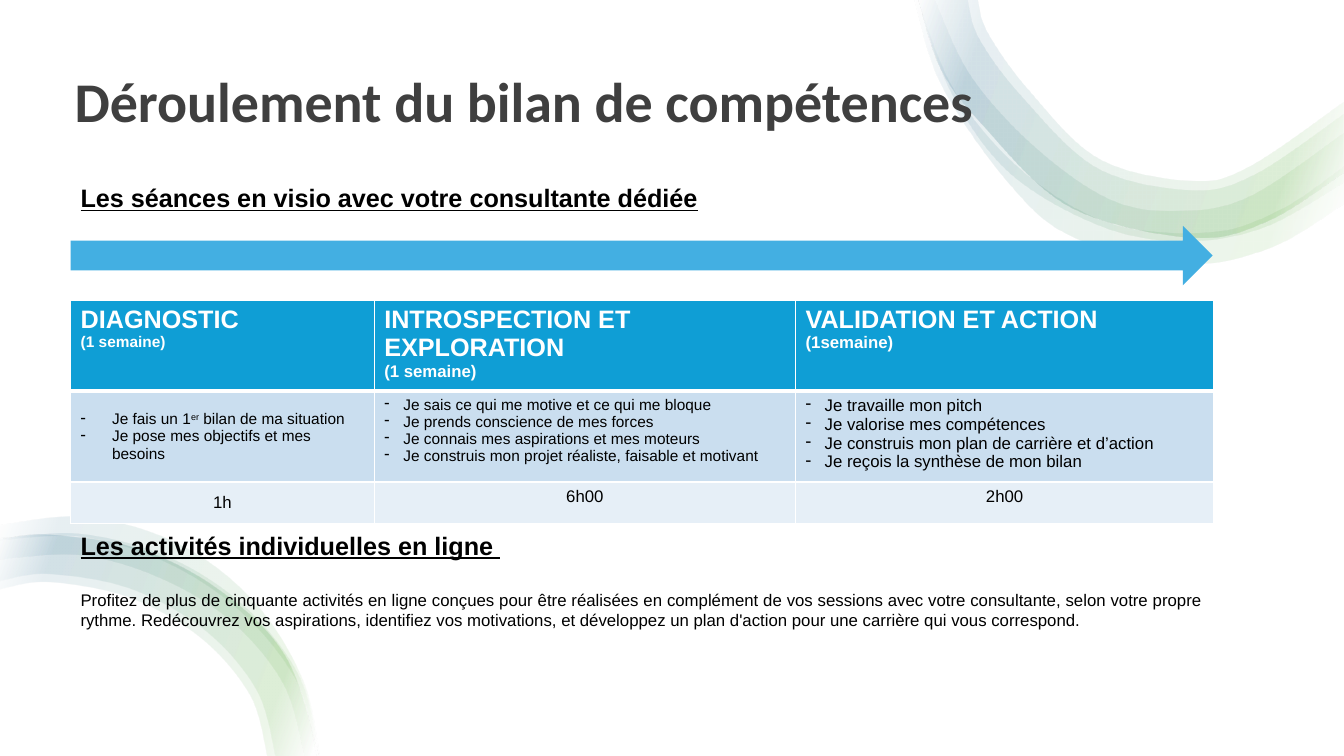
from lxml import etree
from pptx import Presentation
from pptx import util as u
from pptx.dml.color import RGBColor
from pptx.enum import shapes, text
from pptx.oxml import parse_xml
from pptx.oxml.ns import nsdecls, qn

BLACK = RGBColor(0x00, 0x00, 0x00)
WHITE = RGBColor(0xFF, 0xFF, 0xFF)
TITLE_GREY = RGBColor(0x3F, 0x3F, 0x3F)
ARROW_BLUE = RGBColor(0x43, 0xAF, 0xE2)
HEADER_BLUE = RGBColor(0x0F, 0x9E, 0xD5)
ROW_BLUE = RGBColor(0xCA, 0xDE, 0xEF)
ROW_PALE = RGBColor(0xE6, 0xEF, 0xF7)
RIBBON_GREEN = RGBColor(0x4E, 0xA7, 0x2E)
RIBBON_BLUE = RGBColor(0x15, 0x60, 0x82)

RIBBON_STOPS = [(0, WHITE), (2, WHITE), (16, RIBBON_GREEN), (85, RIBBON_BLUE), (100, WHITE)]
UNIT = 2.54  # ribbon points are in inches

TOP_EDGE = [(13.33, 1.71), (12.57, 2.19), (11.81, 2.35), (10.6, 2.04),
            (9.73, 1.22), (9.33, 0.68), (9.11, 0)]
BOTTOM_EDGE = [(3.16, 7.5), (2.84, 6.53), (2.22, 5.89), (1.41, 5.46), (0.49, 5.31), (0, 5.36)]
# Each ribbon is a pair of edges, the second running back along the first.
RIBBONS = [
    ([(9.1, 0), (9.48, 0.92), (10.15, 1.7), (11.01, 2.21), (12.01, 2.3), (12.71, 2.07),
      (13.33, 1.65)],
     [(13.33, 2.02), (12.61, 2.45), (11.76, 2.61), (10.65, 2.35), (10.01, 1.82),
      (9.34, 0.85), (9.07, 0)]),
    ([(9.27, 0), (9.64, 0.77), (10.29, 1.48), (11.04, 1.99), (11.74, 2.09), (12.41, 1.94),
      (13.33, 1.32)],
     [(13.33, 1.81), (12.55, 2.25), (11.77, 2.39), (10.94, 2.25), (10.02, 1.72),
      (9.43, 0.91), (9.11, 0)]),
    ([(9.6, 0), (9.71, 0.38), (10.13, 0.95), (10.88, 1.66), (11.81, 1.88),
      (12.44, 1.73), (13.33, 1.13)], TOP_EDGE),
    ([(9.7, 0), (9.8, 0.33), (10.21, 0.9), (10.9, 1.57), (11.81, 1.79), (12.39, 1.65),
      (13.33, 1.01)], TOP_EDGE),
    (BOTTOM_EDGE, [(0, 5.85), (0.49, 5.78), (1.28, 5.93), (1.99, 6.33), (2.48, 6.9), (2.65, 7.5)]),
    (BOTTOM_EDGE, [(0, 5.77), (0.49, 5.7), (1.31, 5.85), (2.05, 6.27), (2.55, 6.86), (2.73, 7.5)]),
    ([(3.16, 7.5), (2.97, 6.72), (2.44, 6.03), (1.7, 5.54), (0.83, 5.3), (0, 5.34)],
     [(0, 5.55), (0.81, 5.51), (1.6, 5.74), (2.3, 6.17), (2.81, 6.79), (3.02, 7.5)]),
    ([(3.17, 7.5), (3, 6.74), (2.52, 5.97), (1.78, 5.4), (0.86, 5.13), (0, 5.21)],
     [(0, 5.36), (0.83, 5.33), (1.67, 5.59), (2.4, 6.08), (2.94, 6.76), (3.14, 7.5)]),
]

# Title, duration, duration size, steps, step size, step indent in cm, hours, anchor
PHASES = [
    ("DIAGNOSTIC", "(1 semaine)", 11,
     ["Je fais un 1^er^ bilan de ma situation", "Je pose mes objectifs et mes besoins"],
     11, 0.79, "1h", text.MSO_ANCHOR.MIDDLE),
    ("INTROSPECTION ET EXPLORATION", "(1 semaine)", 12,
     ["Je sais ce qui me motive et ce qui me bloque", "Je prends conscience de mes forces",
      "Je connais mes aspirations et mes moteurs",
      "Je construis mon projet réaliste, faisable et motivant"],
     11, 0.48, "6h00", text.MSO_ANCHOR.TOP),
    ("VALIDATION ET ACTION", "(1semaine)", 12,
     ["Je travaille mon pitch", "Je valorise mes compétences",
      "Je construis mon plan de carrière et d’action", "Je reçois la synthèse de mon bilan"],
     12, 0.48, "2h00", text.MSO_ANCHOR.TOP),
]
COLUMN_WIDTHS = [7.65, 10.62, 10.54]
ROW_HEIGHTS = [2.26, 2.26, 1.04]


def curve_controls(edge):
    """Return, per segment, the two control points and end of a smooth curve through the edge."""
    padded = [edge[0], *edge, edge[-1]]
    return [((b[0] + (c[0] - a[0]) / 6, b[1] + (c[1] - a[1]) / 6),
             (c[0] - (d[0] - b[0]) / 6, c[1] - (d[1] - b[1]) / 6), c)
            for a, b, c, d in zip(padded, padded[1:], padded[2:], padded[3:])]


def add_ribbon(slide, edges):
    near, far = [[(u.Cm(x * UNIT), u.Cm(y * UNIT)) for x, y in edge] for edge in edges]
    builder = slide.shapes.build_freeform(*near[0])
    builder.add_line_segments(near[1:] + far)
    ribbon = builder.convert_to_shape()
    ribbon.shadow.inherit = False
    ribbon.line.fill.background()

    # The straight join between the two edges stays a line.
    segments = curve_controls(near) + [None] + curve_controls(far)
    for line, controls in zip(list(ribbon._element.iter(qn("a:lnTo"))), segments):
        if controls:
            curve = etree.Element(qn("a:cubicBezTo"))
            for x, y in controls:
                etree.SubElement(curve, qn("a:pt"), x=str(round(x - ribbon.left)),
                                 y=str(round(y - ribbon.top)))
            line.getparent().replace(line, curve)

    stops = "".join(
        f'<a:gs pos="{place * 1000}"><a:srgbClr val="{color}"><a:alpha val="10000"/></a:srgbClr></a:gs>'
        for place, color in RIBBON_STOPS)
    gradient = parse_xml(f'<a:gradFill {nsdecls("a")}><a:gsLst>{stops}</a:gsLst>'
                         '<a:lin ang="12000000" scaled="0"/></a:gradFill>')
    ribbon._element.spPr.find(qn("a:custGeom")).addnext(gradient)


def style(paragraph, size, color=BLACK, bold=False, underline=False, name="Arial"):
    font = paragraph.font
    font.name, font.size, font.bold, font.underline = name, u.Pt(size), bold, underline
    font.color.rgb = color


def add_text_box(slide, left, top, width, height, wording, size, **look):
    frame = slide.shapes.add_textbox(u.Cm(left), u.Cm(top), u.Cm(width), u.Cm(height)).text_frame
    frame.word_wrap = True
    paragraph = frame.paragraphs[0]
    paragraph.text = wording
    style(paragraph, size, **look)
    return frame


def add_arrow(slide):
    arrow = slide.shapes.add_shape(shapes.MSO_SHAPE.RIGHT_ARROW,
                                   u.Cm(1.78), u.Cm(5.69), u.Cm(28.78), u.Cm(1.5))
    arrow.shadow.inherit = False
    arrow.fill.solid()
    arrow.fill.fore_color.rgb = ARROW_BLUE
    arrow.line.fill.background()


def paint_cell(cell, color, bottom_width=1):
    properties = cell._tc.get_or_add_tcPr()
    for side, width in (("L", 1), ("R", 1), ("T", 1), ("B", bottom_width)):
        line = etree.SubElement(properties, qn(f"a:ln{side}"), w=str(u.Pt(width)))
        fill = etree.SubElement(line, qn("a:solidFill"))
        etree.SubElement(fill, qn("a:srgbClr"), val=str(WHITE))
    cell.fill.solid()
    cell.fill.fore_color.rgb = color


def fill_step(paragraph, step, size, indent):
    """Write a dashed step; wording between carets is raised."""
    properties = paragraph._p.get_or_add_pPr()
    properties.set("marL", str(u.Cm(indent)))
    properties.set("indent", str(-u.Cm(indent)))
    etree.SubElement(properties, qn("a:buChar"), char="-")
    for position, part in enumerate(step.split("^")):
        run = paragraph.add_run()
        run.text = part
        if position % 2:
            run._r.get_or_add_rPr().set("baseline", "30000")
    style(paragraph, size)


def add_phase_table(slide):
    table = slide.shapes.add_table(3, 3, u.Cm(1.78), u.Cm(7.57), u.Cm(sum(COLUMN_WIDTHS)),
                                   u.Cm(sum(ROW_HEIGHTS))).table
    for row, height in zip(table.rows, ROW_HEIGHTS):
        row.height = u.Cm(height)
    for index, phase in enumerate(PHASES):
        title, duration, duration_size, steps, step_size, indent, hours, anchor = phase
        table.columns[index].width = u.Cm(COLUMN_WIDTHS[index])
        header, body, footer = (table.cell(row, index) for row in range(3))
        paint_cell(header, HEADER_BLUE, bottom_width=3)
        paint_cell(body, ROW_BLUE)
        paint_cell(footer, ROW_PALE)
        header.text = f"{title}\n{duration}"
        for paragraph, size in zip(header.text_frame.paragraphs, (18, duration_size)):
            style(paragraph, size, WHITE, bold=True)
        body.text = "\n" * (len(steps) - 1)
        for paragraph, step in zip(body.text_frame.paragraphs, steps):
            fill_step(paragraph, step, step_size, indent)
        footer.text = hours
        style(footer.text_frame.paragraphs[0], 12)
        footer.text_frame.paragraphs[0].alignment = text.PP_ALIGN.CENTER
        body.vertical_anchor = footer.vertical_anchor = anchor


def main():
    presentation = Presentation()
    presentation.slide_width, presentation.slide_height = u.Cm(33.87), u.Cm(19.05)
    slide = presentation.slides.add_slide(presentation.slide_layouts[6])
    for edges in RIBBONS:
        add_ribbon(slide, edges)

    title = add_text_box(slide, 1.63, 0.3, 30.18, 3.23, "Déroulement du bilan de compétences",
                         40, color=TITLE_GREY, bold=True, name="Calibri")
    title.vertical_anchor = text.MSO_ANCHOR.BOTTOM
    title.paragraphs[0].line_spacing = 0.9

    activities = add_text_box(slide, 1.78, 13.23, 28.8, 2.82, "Les activités individuelles en ligne ",
                              18, bold=True, underline=True)
    details = activities.add_paragraph()
    details.text = (
        "Profitez de plus de cinquante activités en ligne conçues pour être réalisées en complément "
        "de vos sessions avec votre consultante, selon votre propre rythme. Redécouvrez vos "
        "aspirations, identifiez vos motivations, et développez un plan d'action pour une carrière "
        "qui vous correspond.")
    details.space_before = u.Pt(21)
    style(details, 12)
    for paragraph in activities.paragraphs:
        paragraph.alignment = text.PP_ALIGN.JUSTIFY

    add_text_box(slide, 1.78, 4.47, 22.12, 1.02, "Les séances en visio avec votre consultante dédiée",
                 18, bold=True, underline=True)
    add_arrow(slide)
    add_phase_table(slide)
    presentation.save("out.pptx")


if __name__ == "__main__":
    main()
